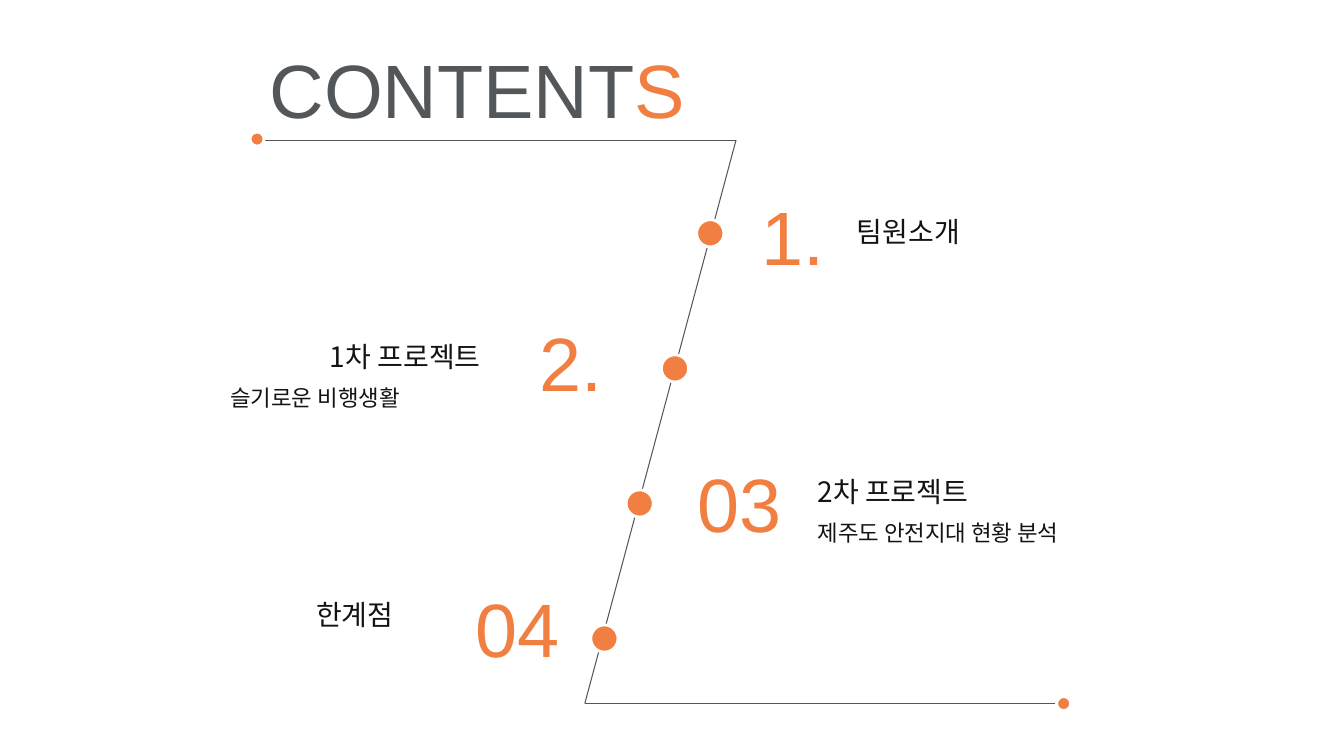
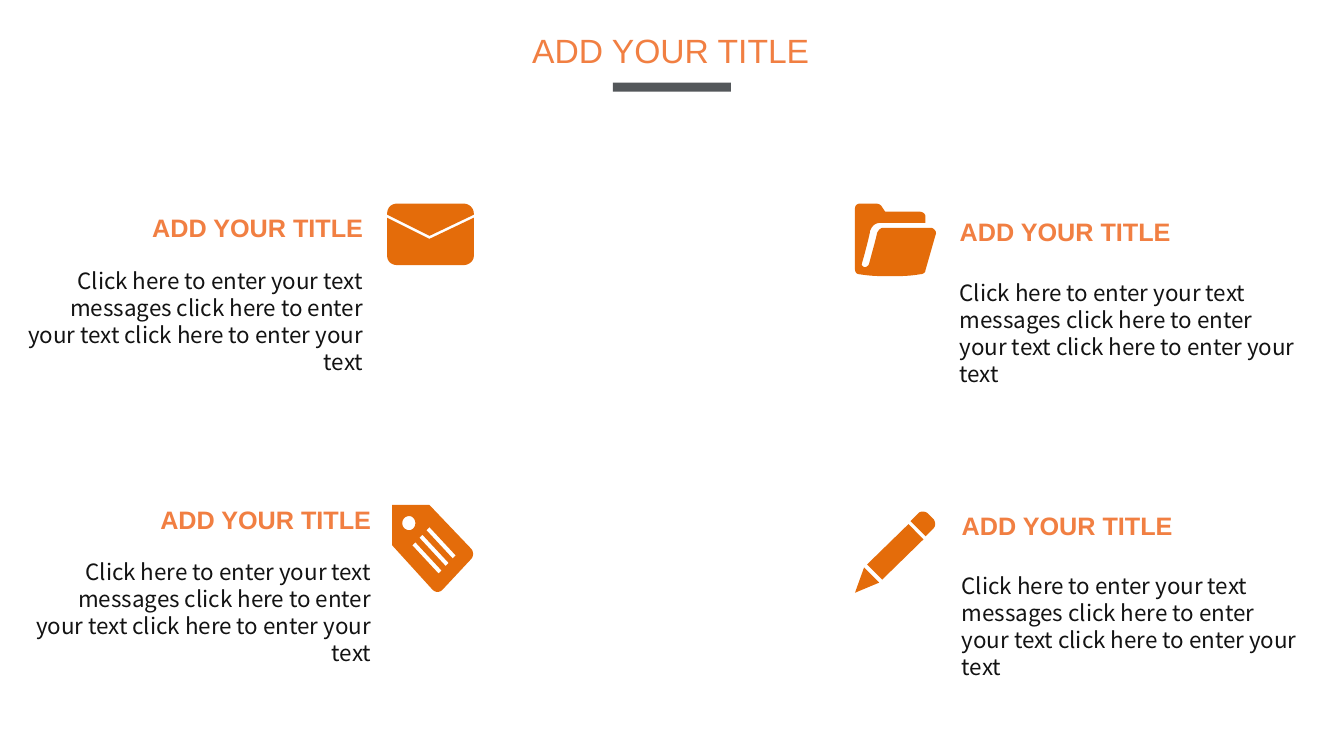
from lxml import etree
from pptx import Presentation
from pptx import util as u
from pptx.dml.color import RGBColor
from pptx.enum import shapes, text
from pptx.oxml.ns import qn

PX = 9144
ORANGE, RUST, GRAY, INK, WHITE = "F17F42", "E46C0A", "53575A", "131313", "FFFFFF"
LATIN, HAN = "Arial", "Noto Sans CJK SC"
LEFT, MID, RIGHT = text.PP_ALIGN.LEFT, text.PP_ALIGN.CENTER, text.PP_ALIGN.RIGHT
OVAL, RECT = shapes.MSO_SHAPE.OVAL, shapes.MSO_SHAPE.RECTANGLE

TITLE = "ADD YOUR TITLE"
BODY = ("Click here to enter your text messages click here to enter "
        "your text click here to enter your text")

MAIL = [
    [(0, 14), (42, 35), (86, 14), (86, 52), (86, 57, 81, 61, 76, 61),
     (10, 61), (4, 61, 0, 57, 0, 52)],
    [(10, 0), (76, 0), (81, 0, 86, 4, 86, 10), (86, 11), (42, 32),
     (0, 11), (0, 10), (0, 4, 4, 0, 10, 0)],
]
TAG = [
    [(37, 0), (0, 0), (0, 40), (40, 84), (43, 87, 47, 87, 50, 84),
     (78, 54), (81, 51, 81, 46, 78, 43)],
    [(10, 18), (10, 14, 13, 11, 17, 11), (20, 11, 23, 14, 23, 18),
     (23, 22, 20, 25, 17, 25), (13, 25, 10, 22, 10, 18)],
] + [
    [(x, y), (x - 26, y - 28), (x - 23, y - 31), (x + 3, y - 3)]
    for x, y in ((46 + 7 * i, 68 - 7.5 * i) for i in range(3))
]
FOLDER = [
    [(75, 24), (28, 24), (25, 24, 23, 27, 22, 29), (22, 31, 14, 59, 14, 60),
     (13, 62, 11, 63, 10, 63), (8, 63, 6, 61, 7, 59), (8, 56, 15, 30, 15, 27),
     (17, 22, 20, 19, 26, 19), (70, 19), (70, 13), (70, 10, 67, 8, 64, 8),
     (30, 8), (26, 2), (25, 1, 23, 0, 21, 0), (5, 0), (2, 0, 0, 2, 0, 5),
     (0, 65), (0, 68, 2, 70, 4, 70), (16, 72, 25, 72, 35, 72),
     (44, 72, 54, 72, 65, 70), (68, 70, 70, 68, 70, 66), (80, 31),
     (81, 29, 80, 27, 79, 26), (78, 25, 77, 24, 75, 24)],
]
PENCIL = [
    [(70, 25), (55, 10), (63, 2), (65, 0, 69, 0, 72, 2), (78, 8),
     (80, 11, 80, 15, 78, 17)],
    [(27, 68), (12, 53), (53, 13), (68, 28)],
    [(0, 81), (9, 56), (24, 71)],
]


def px(*vals):
    return [u.Emu(round(v * PX)) for v in vals]


def color(code):
    return RGBColor.from_string(code)


def label(slide, box, runs, size, font=LATIN, align=LEFT, bold=False):
    frame = slide.shapes.add_textbox(*px(*box)).text_frame
    frame.word_wrap = True
    para = frame.paragraphs[0]
    para.alignment = align
    if font == HAN:
        para.line_spacing = u.Pt(size * 1.2)
    for words, code in runs:
        run = para.add_run()
        run.text = words
        run.font.size = u.Pt(size)
        run.font.bold = bold
        run.font.color.rgb = color(code)
        run.font.name = font
        east = etree.SubElement(run.font._element, qn("a:ea"))
        east.set("typeface", font)


def paint(shape, code, edge=None):
    shape.shadow.inherit = False
    shape.fill.solid()
    shape.fill.fore_color.rgb = color(code)
    if edge:
        shape.line.color.rgb = color(edge)
        shape.line.width = u.Pt(2)
    else:
        shape.line.fill.background()


def dot(slide, x, y, size):
    paint(slide.shapes.add_shape(OVAL, *px(x, y, size, size)), ORANGE, WHITE)


def rule(slide, start, end):
    line = slide.shapes.add_connector(
        shapes.MSO_CONNECTOR.STRAIGHT, *px(*start, *end))
    line.line.color.rgb = color(GRAY)
    line.line.width = u.Pt(0.75)
    etree.SubElement(line._element.spPr, qn("a:effectLst"))


def trace(steps):
    points = [steps[0]]
    for step in steps[1:]:
        if len(step) == 2:
            points.append(step)
            continue
        knots = [points[-1], step[:2], step[2:4], step[4:]]
        for i in range(1, 9):
            t = i / 8
            parts = ((1 - t) ** 3, 3 * t * (1 - t) ** 2, 3 * t * t * (1 - t), t ** 3)
            points.append(tuple(
                sum(w * k[axis] for w, k in zip(parts, knots)) for axis in (0, 1)))
    return [px(*point) for point in points]


def icon(slide, x, y, outlines):
    first, *rest = [trace(steps) for steps in outlines]
    form = slide.shapes.build_freeform(*first[0], scale=1.0)
    form.add_line_segments(first[1:], close=True)
    for points in rest:
        form.move_to(*points[0])
        form.add_line_segments(points[1:], close=True)
    paint(form.convert_to_shape(*px(x, y)), RUST)


def contents(slide):
    top, turn, foot, end = (257, 139), (730, 139), (580, 698), (1053, 698)
    for start, stop in ((top, turn), (turn, foot), (foot, end)):
        rule(slide, start, stop)
    label(slide, (255, 38, 437, 101), [("CONTENT", GRAY), ("S", ORANGE)], 54, align=MID)
    for i in range(4):
        dot(slide, 691 - 35 * i, 218 + 134 * i, 27)
    for x, y in ((248, 131), (1048, 691)):
        dot(slide, x, y, 14)
    for mark, x, y in (("1.", 745, 183), ("2.", 525, 308),
                       ("03", 682, 448), ("04", 462, 572)):
        label(slide, (x, y, 118, 101), [(mark, ORANGE)], 54)
    for words, x, y, wide, align in (
            ("팀원소개", 840, 208, 132, LEFT),
            ("1차 프로젝트", 308, 332, 188, MID),
            ("2차 프로젝트", 801, 466, 184, LEFT),
            ("한계점", 300, 588, 104, MID)):
        label(slide, (x, y, wide, 44), [(words, INK)], 20, HAN, align)
    for words, x, y, align in (
            ("슬기로운 비행생활", 100, 376, MID),
            ("제주도 안전지대 현황 분석", 801, 510, LEFT)):
        label(slide, (x, y, 425, 37), [(words, INK)], 16, HAN, align)


def card(slide, x, y, wide, drop, align):
    head = x + wide - 232 if align == RIGHT else x
    label(slide, (head, y, 232, 40), [(TITLE, ORANGE)], 18, align=align, bold=True)
    label(slide, (x, y + drop, wide, 91), [(BODY, INK)], 16, HAN, align)


def features(slide):
    label(slide, (518, 25, 298, 50), [(TITLE, ORANGE)], 24)
    paint(slide.shapes.add_shape(RECT, *px(608, 82, 117, 9)), GRAY)
    for x, y, art in ((384, 202, MAIL), (389, 501, TAG),
                      (848, 202, FOLDER), (848, 507, PENCIL)):
        icon(slide, x, y, art)
    for x, y in ((13, 206), (21, 495)):
        card(slide, x, y, 357, 54, RIGHT)
    for x, y in ((942, 210), (944, 501)):
        card(slide, x, y, 362, 62, LEFT)


def main():
    deck = Presentation()
    deck.slide_width, deck.slide_height = px(1333, 750)
    for build in (contents, features):
        build(deck.slides.add_slide(deck.slide_layouts[6]))
    deck.save("out.pptx")


if __name__ == "__main__":
    main()
